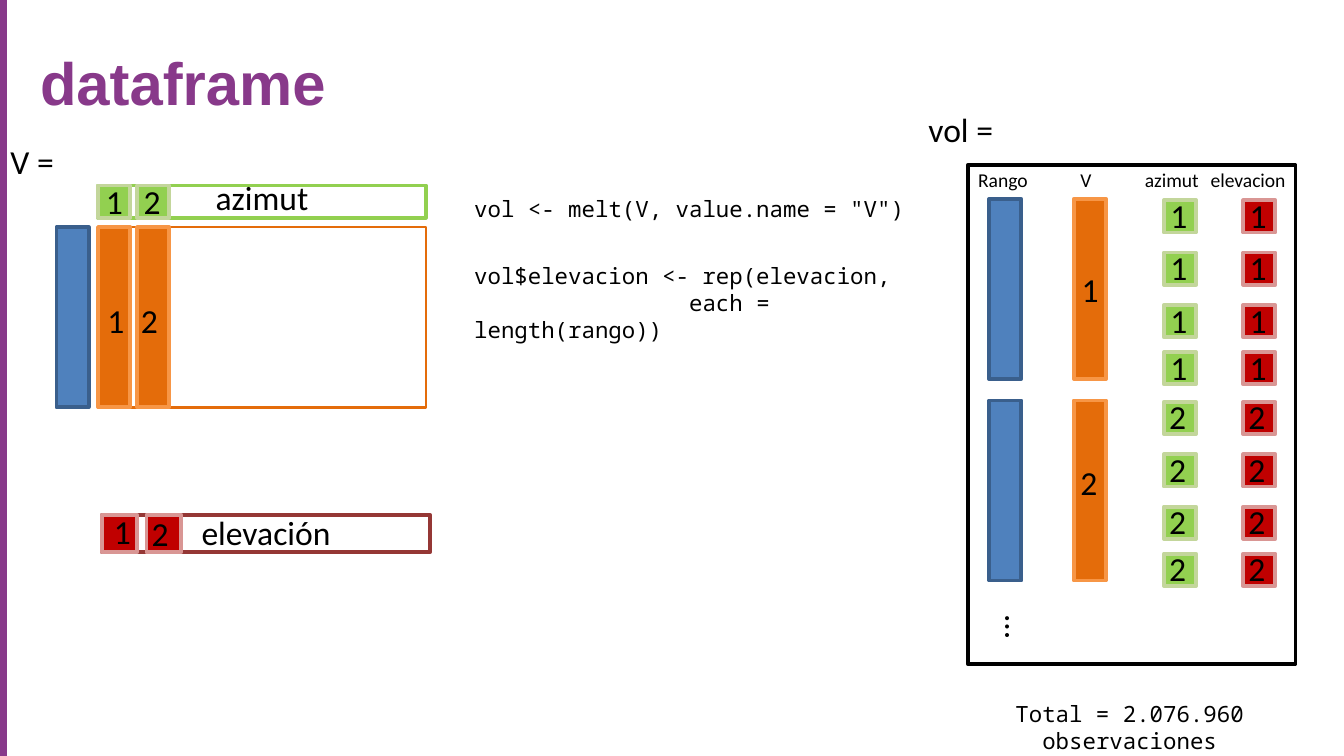
"""Build the slide that turns a radar matrix into a data frame."""
from dataclasses import dataclass

from lxml import etree
from pptx import Presentation
from pptx import util as u
from pptx.dml.color import RGBColor
from pptx.enum import shapes, text
from pptx.oxml import ns

PX = 9144
WIDTH = 1000 * PX
HEIGHT = WIDTH * 9 // 16


@dataclass(frozen=True)
class Theme:
    """Colours, fonts and type sizes of the slide."""
    ink: str = "000000"
    accent: str = "88398A"
    value: tuple = ("E46C0A", "F79646")
    azimuth: tuple = ("92D050", "C3D69B")
    range: tuple = ("4F81BD", "3A5F8C")
    elevation: tuple = ("C00000", "D99694")
    elevation_frame: str = "953735"
    body: str = "Calibri"
    code: str = "Noto Sans Mono"
    heading: str = "Arial"
    title_size: float = 32
    body_size: float = 18
    code_size: float = 12
    header_size: float = 10.5


THEME = Theme()


def px(length):
    """Turn whole px into EMU."""
    return u.Emu(length * PX)


def write(frame, content, font=THEME.body, size=THEME.body_size, color=THEME.ink,
          bold=False, centered=False, wrap=False, direction=None, tabs=()):
    """Fill a text frame with one paragraph per line of content."""
    frame.word_wrap = wrap
    frame.auto_size = text.MSO_AUTO_SIZE.SHAPE_TO_FIT_TEXT
    if direction:
        frame._txBody.bodyPr.set("vert", direction)
    for index, line in enumerate(content.split("\n")):
        paragraph = frame.add_paragraph() if index else frame.paragraphs[0]
        if centered:
            paragraph.alignment = text.PP_ALIGN.CENTER
        if tabs:
            stops = etree.SubElement(paragraph._p.get_or_add_pPr(), ns.qn("a:tabLst"))
            for stop in tabs:
                etree.SubElement(stops, ns.qn("a:tab"), pos=str(px(stop)), algn="l")
        run = paragraph.add_run()
        run.text = line
        run.font.name = font
        run.font.size = u.Pt(size)
        run.font.bold = bold
        run.font.color.rgb = RGBColor.from_string(color)


class Canvas:
    """Hold the theme and the current slide and draw each kind of element."""

    def __init__(self, slide, theme):
        """Keep the slide and its theme."""
        self.slide = slide
        self.theme = theme

    def box(self, left, top, width, height, line, fill=None, weight=2):
        """Draw a rectangle, empty unless a fill is given."""
        shape = self.slide.shapes.add_shape(
            shapes.MSO_SHAPE.RECTANGLE, px(left), px(top), px(width), px(height))
        shape.shadow.inherit = False
        if fill:
            shape.fill.solid()
            shape.fill.fore_color.rgb = RGBColor.from_string(fill)
        else:
            shape.fill.background()
        shape.line.color.rgb = RGBColor.from_string(line)
        shape.line.width = u.Pt(weight)

    def block(self, left, top, colors, width=24, height=24):
        """Draw a filled block from a fill and line pair."""
        fill, line = colors
        self.box(left, top, width, height, line, fill)

    def label(self, left, top, width, height, content, **style):
        """Place a text box."""
        shape = self.slide.shapes.add_textbox(px(left), px(top), px(width), px(height))
        write(shape.text_frame, content, **style)

    def digit(self, left, top, number):
        """Place an index number."""
        self.label(left, top, 33, 40, str(number))

    def edge(self, left, color, weight):
        """Draw a vertical line over the full slide height."""
        line = self.slide.shapes.add_connector(
            shapes.MSO_CONNECTOR.STRAIGHT, px(left), 0, px(left), HEIGHT)
        line.line.color.rgb = RGBColor.from_string(color)
        line.line.width = u.Pt(weight)
        etree.SubElement(line._element.spPr, ns.qn("a:effectLst"))


def draw_matrix(canvas):
    """Draw the matrix V with its azimuth and elevation vectors."""
    theme = canvas.theme
    canvas.label(-2, 100, 53, 40, "V =")
    canvas.box(73, 169, 244, 134, theme.value[0], weight=1.5)
    canvas.box(73, 138, 244, 24, theme.azimuth[0])
    canvas.label(73, 127, 244, 40, "azimut", centered=True, wrap=True)
    canvas.block(42, 169, theme.range, height=134)
    canvas.box(76, 383, 244, 28, theme.elevation_frame)
    canvas.label(76, 376, 244, 40, "elevación", centered=True, wrap=True)
    for index in range(2):
        left, number = 73 + 29 * index, index + 1
        canvas.block(left, 169, theme.value, height=134)
        canvas.digit(70 + 25 * index, 218, number)
        canvas.block(left, 138, theme.azimuth)
        canvas.digit(69 + 28 * index, 130, number)
        canvas.block(76 + 33 * index, 383, theme.elevation, width=26, height=28)
        canvas.digit(75 + 28 * index, 375 + 2 * index, number)


def draw_table(canvas):
    """Draw the long table vol with two blocks of observations."""
    theme = canvas.theme
    canvas.label(681, 76, 69, 40, "vol =")
    canvas.box(720, 123, 244, 371, theme.ink)
    canvas.label(718, 120, 262, 28, "Rango\tV\tazimut\televacion",
                 size=theme.header_size, wrap=True, tabs=(76, 124, 173))
    for number, top, middle in ((1, 148, 195), (2, 298, 339)):
        canvas.block(736, top, theme.range, height=134)
        canvas.block(799, top, theme.value, height=134)
        canvas.digit(796 - number, middle, number)
        for left, colors in ((866, theme.azimuth), (925, theme.elevation)):
            for offset in (1, 40, 79, 114):
                canvas.block(left, top + offset, colors)
                canvas.digit(left - 4 - number, top + offset - 9, number)
    canvas.label(728, 448, 50, 27, "…", direction="vert")
    canvas.label(681, 516, 319, 30, "Total = 2.076.960 observaciones",
                 font=theme.code, size=theme.code_size, centered=True, wrap=True)


def draw_code(canvas):
    """Place the two code snippets."""
    style = {"font": canvas.theme.code, "size": canvas.theme.code_size, "wrap": True}
    canvas.label(343, 140, 362, 30, 'vol <- melt(V, value.name = "V")', **style)
    canvas.label(343, 190, 373, 50,
                 "vol$elevacion <- rep(elevacion,\n\t      each = length(rango))",
                 tabs=(100,), **style)


def main():
    """Create the presentation and save it."""
    presentation = Presentation()
    presentation.slide_width, presentation.slide_height = WIDTH, HEIGHT
    slide = presentation.slides.add_slide(presentation.slide_layouts[6])
    canvas = Canvas(slide, THEME)
    draw_matrix(canvas)
    draw_table(canvas)
    draw_code(canvas)
    canvas.label(20, 29, 234, 64, "dataframe", font=THEME.heading,
                 size=THEME.title_size, color=THEME.accent, bold=True)
    canvas.edge(2, THEME.accent, 4.5)
    presentation.save("out.pptx")


if __name__ == "__main__":
    main()
